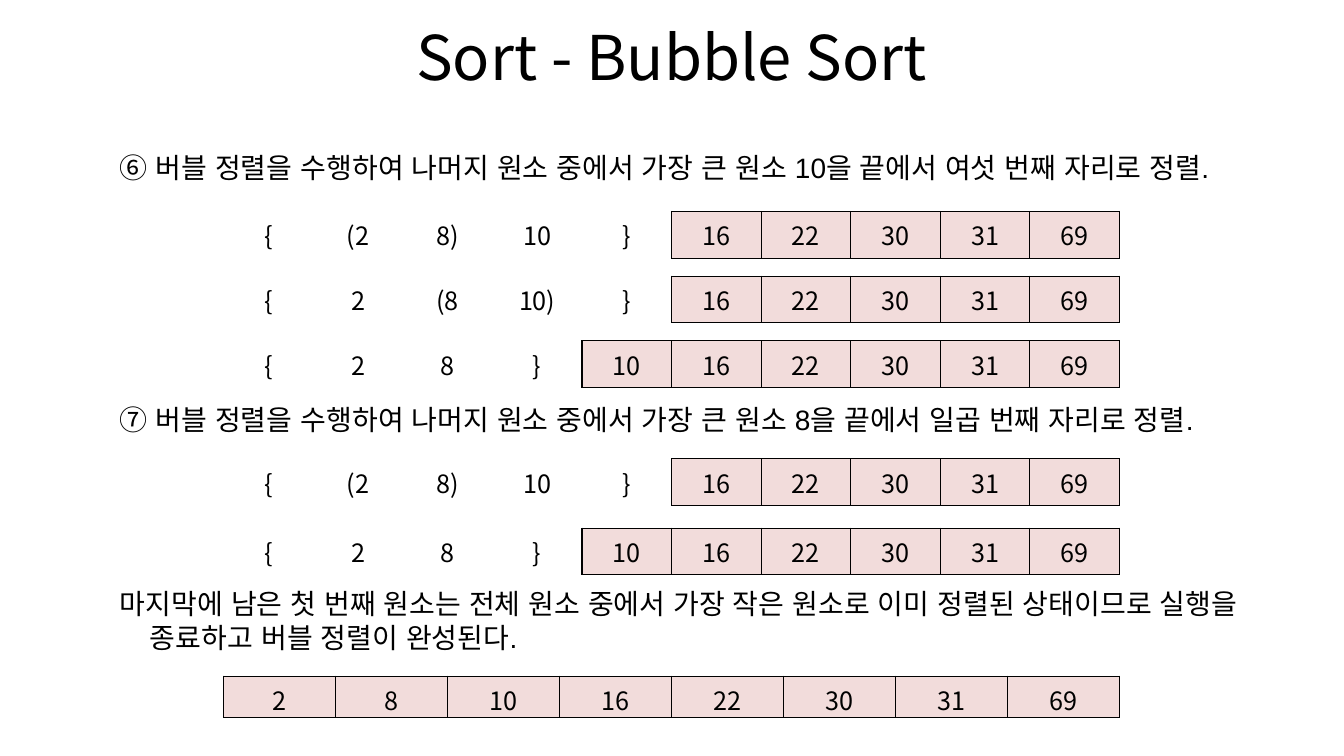
from lxml.etree import SubElement
from pptx import Presentation
from pptx.dml.color import RGBColor
from pptx.enum.text import MSO_ANCHOR, PP_ALIGN
from pptx.oxml.ns import qn
from pptx.util import Cm, Pt

TITLE = "Sort - Bubble Sort"
# top and height in cm, wording
STEPS = [
    (3.66, 1.12, "⑥ 버블 정렬을 수행하여 나머지 원소 중에서 가장 큰 원소 10을 끝에서 여섯 번째 자리로 정렬."),
    (10.01, 1.12, "⑦ 버블 정렬을 수행하여 나머지 원소 중에서 가장 큰 원소 8을 끝에서 일곱 번째 자리로 정렬."),
    (14.66, 1.96, "마지막에 남은 첫 번째 원소는 전체 원소 중에서 가장 작은 원소로 이미 정렬된 상태이므로 "
                  "실행을 종료하고 버블 정렬이 완성된다."),
]
# top in cm, unsorted values, sorted values
PASSES = [
    (5.33, "{ (2 8) 10 }", "16 22 30 31 69"),
    (6.96, "{ 2 (8 10) }", "16 22 30 31 69"),
    (8.59, "{ 2 8 }", "10 16 22 30 31 69"),
    (11.56, "{ (2 8) 10 }", "16 22 30 31 69"),
    (13.31, "{ 2 8 }", "10 16 22 30 31 69"),
    (17.04, "", "2 8 10 16 22 30 31 69"),
]
COLORS = {"ink": "000000", "open": "FFFFFF", "sorted": "F2DCDB"}
FONTS = {"title": "Noto Sans CJK KR", "cell": "Noto Sans CJK KR", "step": "Arial"}
SIZES = {"title": 44, "cell": 18, "step": 20}

TABLE_LEFT, TABLE_WIDTH, ROW_HEIGHT = 5.64, 22.58, 1.04
STEP_LEFT, STEP_WIDTH = 1.02, 32.36
STEP_INDENT, STEP_HANGING = 2.51, -0.76


def write(frame, text, role):
    para = frame.paragraphs[0]
    span = para.add_run()
    span.text = text
    look = {"name": FONTS[role], "size": Pt(SIZES[role]), "bold": False}
    for name, value in look.items():
        setattr(span.font, name, value)
    span.font.color.rgb = RGBColor.from_string(COLORS["ink"])
    SubElement(span.font._element, qn("a:ea"), typeface=FONTS[role])
    return para


def draw_borders(cell, visible_sides):
    properties = cell._tc.get_or_add_tcPr()
    for position, side in enumerate("LRTB"):
        line = SubElement(properties, qn(f"a:ln{side}"), w=str(Pt(1)))
        if side in visible_sides:
            fill = SubElement(line, qn("a:solidFill"))
            SubElement(fill, qn("a:srgbClr"), val=COLORS["ink"])
        else:
            SubElement(line, qn("a:noFill"))
        properties.insert(position, line)


def add_pass(page, top, unsorted_values, sorted_values):
    open_values = unsorted_values.split()
    values = open_values + sorted_values.split()
    table = page.shapes.add_table(1, len(values), Cm(TABLE_LEFT), Cm(top),
                                  Cm(TABLE_WIDTH), Cm(ROW_HEIGHT)).table
    table.first_row = table.horz_banding = False
    for index, value in enumerate(values):
        cell = table.cell(0, index)
        is_sorted = index >= len(open_values)
        cell.fill.solid()
        cell.fill.fore_color.rgb = RGBColor.from_string(COLORS["sorted" if is_sorted else "open"])
        cell.vertical_anchor = MSO_ANCHOR.MIDDLE
        if not open_values:
            cell.margin_bottom = 0
        touches_sorted = index == len(open_values) - 1
        draw_borders(cell, "LRTB" if is_sorted else "R" if touches_sorted else "")
        write(cell.text_frame, value, "cell").alignment = PP_ALIGN.CENTER


def add_step(page, top, height, text):
    box = page.shapes.add_textbox(Cm(STEP_LEFT), Cm(top), Cm(STEP_WIDTH), Cm(height))
    box.text_frame.word_wrap = True
    para = write(box.text_frame, text, "step")
    para.level = 1
    properties = para._p.get_or_add_pPr()
    properties.set("marL", str(Cm(STEP_INDENT)))
    properties.set("indent", str(Cm(STEP_HANGING)))


def main():
    deck = Presentation()
    deck.slide_width, deck.slide_height = Cm(33.87), Cm(19.05)
    page = deck.slides.add_slide(deck.slide_layouts[5])

    title = page.shapes.title
    place = {"left": 1.69, "top": 0.33, "width": 30.48, "height": 2.16}
    for name, value in place.items():
        setattr(title, name, Cm(value))
    title.text_frame.vertical_anchor = MSO_ANCHOR.MIDDLE
    write(title.text_frame, TITLE, "title").alignment = PP_ALIGN.CENTER

    for sort_pass in PASSES:
        add_pass(page, *sort_pass)
    for step in STEPS:
        add_step(page, *step)
    deck.save("out.pptx")


if __name__ == "__main__":
    main()
